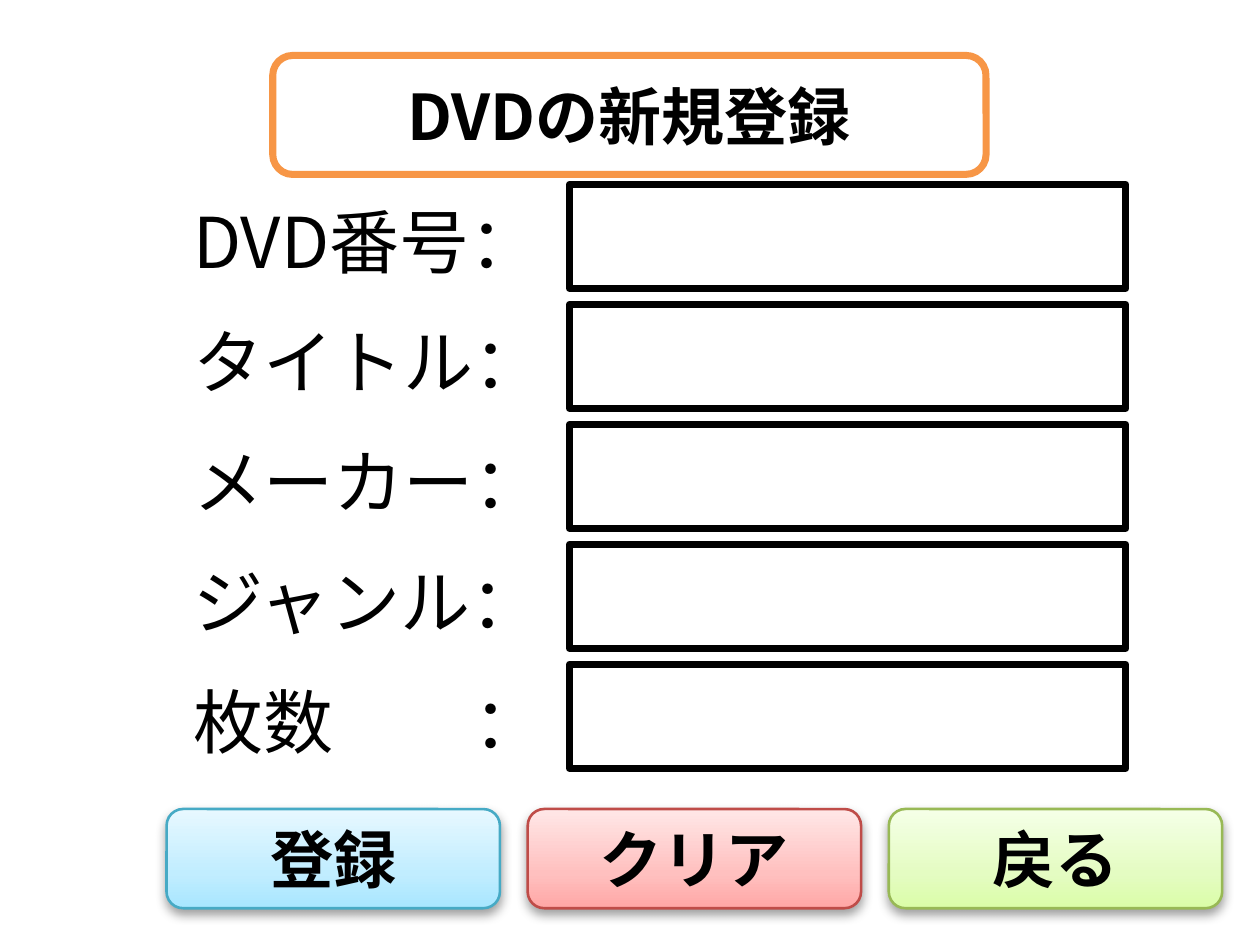
from copy import deepcopy

from lxml.etree import SubElement
from pptx import Presentation
from pptx.dml.color import RGBColor
from pptx.enum.shapes import MSO_SHAPE
from pptx.enum.text import MSO_ANCHOR, MSO_AUTO_SIZE, PP_ALIGN
from pptx.oxml import parse_xml
from pptx.oxml.ns import nsdecls, qn
from pptx.util import Cm, Pt


def color(hex_code):
    return RGBColor.from_string(hex_code)


class Form:
    font_name = "Noto Sans CJK JP"
    ink = "000000"
    paper = "FFFFFF"

    def __init__(self, slide):
        self.slide = slide

    def set_text(self, shape, text, size, bold=False):
        paragraph = shape.text_frame.paragraphs[0]
        paragraph.text = text
        font = paragraph.font
        font.name = self.font_name
        font.size = Pt(size)
        font.bold = bold
        font.color.rgb = color(self.ink)
        defaults = paragraph._p.pPr.find(qn("a:defRPr"))
        SubElement(defaults, qn("a:ea"), typeface=self.font_name)
        return paragraph

    def box(self, shapes, kind, place, line, width):
        shape = shapes.add_shape(kind, *map(Cm, place))
        shape.shadow.inherit = False
        shape.fill.solid()
        shape.fill.fore_color.rgb = color(self.paper)
        shape.line.color.rgb = color(line)
        shape.line.width = Pt(width)
        return shape

    def caption(self, place, text, line, width):
        shape = self.box(self.slide.shapes, MSO_SHAPE.ROUNDED_RECTANGLE, place, line, width)
        shape.text_frame.vertical_anchor = MSO_ANCHOR.MIDDLE
        self.set_text(shape, text, 18, True).alignment = PP_ALIGN.CENTER
        return shape

    def button(self, place, text, line, shades):
        shape = self.caption(place, text, line, 0.75)
        shape.fill.gradient()
        shape.fill.gradient_angle = 90
        stops = shape._element.spPr.find(qn("a:gradFill")).find(qn("a:gsLst"))
        stops.append(deepcopy(stops[0]))
        for stop, position, shade in zip(shape.fill.gradient_stops, (0, 0.35, 1), shades):
            stop.position = position
            stop.color.rgb = color(shade)
        effects = shape._element.spPr.find(qn("a:effectLst"))
        effects.append(parse_xml(
            f'<a:outerShdw {nsdecls("a")} blurRad="40000" dist="20000" dir="5400000" rotWithShape="0">'
            '<a:srgbClr val="000000"><a:alpha val="38000"/></a:srgbClr></a:outerShdw>'
        ))

    def entry(self, top, text):
        shapes = self.slide.shapes.add_group_shape().shapes
        label = shapes.add_textbox(Cm(1.7), Cm(top + 0.02), Cm(4.19), Cm(1.11))
        label.text_frame.word_wrap = True
        label.text_frame.auto_size = MSO_AUTO_SIZE.SHAPE_TO_FIT_TEXT
        paragraph = self.set_text(label, text, 20)
        if "\t" in text:
            defaults = paragraph._p.pPr.find(qn("a:defRPr"))
            defaults.addprevious(parse_xml(
                f'<a:tabLst {nsdecls("a")}><a:tab pos="{Pt(80)}" algn="l"/></a:tabLst>'
            ))
        self.box(shapes, MSO_SHAPE.RECTANGLE, (5.74, top, 5.61, 1.05), self.ink, 2)


def main():
    presentation = Presentation()
    presentation.slide_width = Cm(12.7)
    presentation.slide_height = Cm(9.53)
    form = Form(presentation.slides.add_slide(presentation.slide_layouts[6]))

    form.caption((2.75, 0.56, 7.19, 1.2), "DVDの新規登録", "F79646", 2)

    entries = ["DVD番号：", "タイトル：", "メーカー：", "ジャンル：", "枚数\t："]
    for row, text in enumerate(entries):
        form.entry(1.86 + 1.21 * row, text)

    buttons = [
        ("登録", "46AAC5", ("A7E6FF", "C1EDFF", "E7F8FF")),
        ("クリア", "BF4C48", ("FFA6A5", "FFC0BF", "FFE7E7")),
        ("戻る", "98B955", ("DAFDA7", "E4FCC2", "F5FFE7")),
    ]
    for column, (text, line, shades) in enumerate(buttons):
        form.button((1.68 + 3.64 * column, 8.16, 3.36, 1), text, line, shades)

    presentation.save("out.pptx")


if __name__ == "__main__":
    main()
